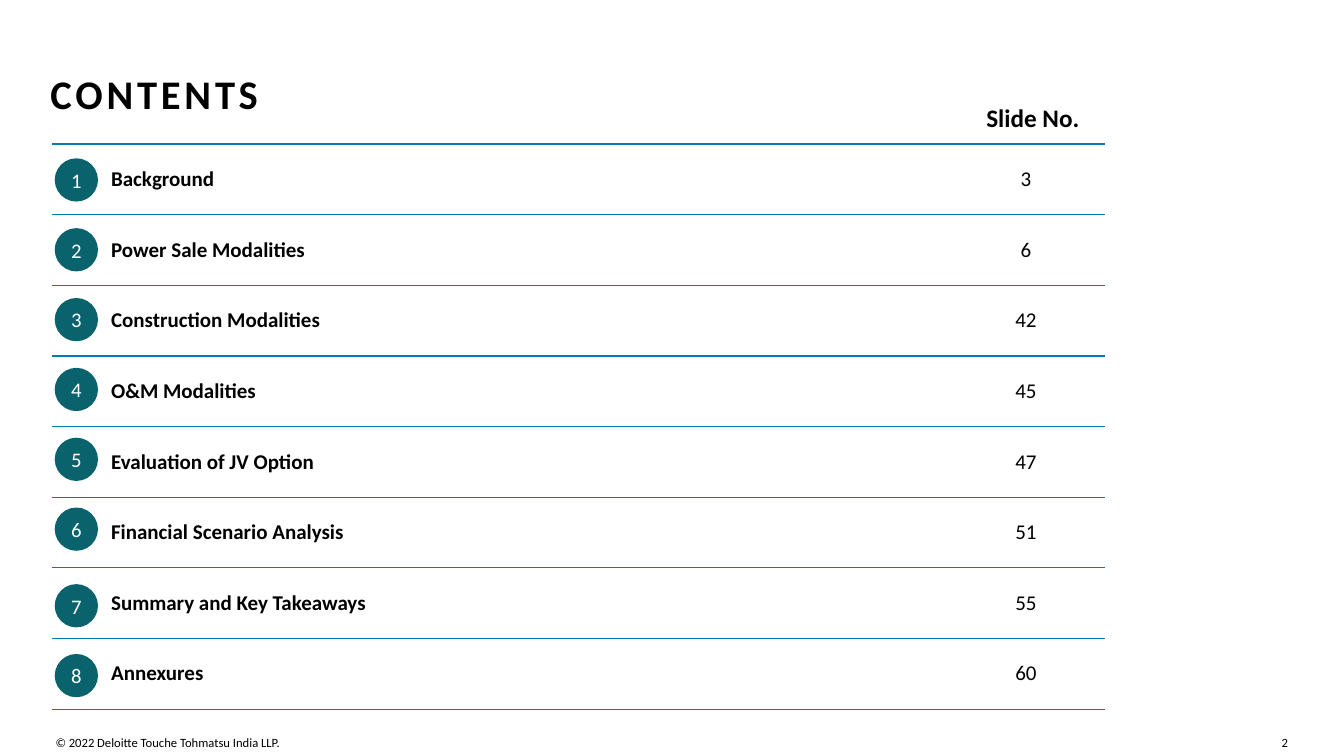
"""Build the contents slide with numbered topics and their slide numbers."""
import pptx
import pptx.util
import pptx.dml.color
import pptx.enum.shapes
import pptx.enum.text
import pptx.oxml
import pptx.oxml.ns

Cm, Pt = pptx.util.Cm, pptx.util.Pt
ALIGN, ANCHOR = pptx.enum.text.PP_ALIGN, pptx.enum.text.MSO_ANCHOR

TOPICS = [
    ("Background", "3"),
    ("Power Sale Modalities", "6"),
    ("Construction Modalities", "42"),
    ("O&M Modalities", "45"),
    ("Evaluation of JV Option", "47"),
    ("Financial Scenario Analysis", "51"),
    ("Summary and Key Takeaways", "55"),
    ("Annexures", "60"),
]
TITLE = "CONTENTS"
HEAD = "Slide No."
FOOT = "© 2022 Deloitte Touche Tohmatsu India LLP."
PAGE = "2"
BLACK, WHITE, TEAL, BLUE = "000000", "FFFFFF", "0A626C", "007CB0"
COLS = (1.3, 21.26, 3.99)
LEFT, TOP, ROW = 1.3, 3.63, 1.78
DOT, STEP = 1.09, 1.76
DOT_TOP, SHIFT = 3.99, 0.17


def color(code):
    return pptx.dml.color.RGBColor.from_string(code)


def write(frame, text, size, code=BLACK, bold=False, align=ALIGN.LEFT):
    frame.text = text
    para = frame.paragraphs[0]
    para.alignment = align
    font = para.runs[0].font
    font.name, font.size, font.bold = "Calibri", Pt(size), bold
    font.color.rgb = color(code)


def inset(frame, side, end):
    frame.margin_left = frame.margin_right = Cm(side)
    frame.margin_top = frame.margin_bottom = Cm(end)


def label(slide, box, text, size, bold=False, align=ALIGN.LEFT, pad=(0, 0)):
    frame = slide.shapes.add_textbox(*map(Cm, box)).text_frame
    frame.word_wrap = True
    inset(frame, *pad)
    write(frame, text, size, bold=bold, align=align)


def rule(cell):
    cell.fill.background()
    props = cell._tc.get_or_add_tcPr()
    space = pptx.oxml.ns.nsdecls("a")
    line = f'<a:solidFill><a:srgbClr val="{BLUE}"/></a:solidFill>'
    fills = {"lnL": "<a:noFill/>", "lnR": "<a:noFill/>", "lnT": line, "lnB": line}
    for spot, (tag, fill) in enumerate(fills.items()):
        xml = f'<a:{tag} {space} w="12700">{fill}</a:{tag}>'
        props.insert(spot, pptx.oxml.parse_xml(xml))


def add_title(slide):
    title = slide.shapes.title
    title.left, title.top, title.width, title.height = map(Cm, (1.27, 1.73, 15.37, 1.24))
    frame = title.text_frame
    inset(frame, 0, 0)
    frame.vertical_anchor = ANCHOR.TOP
    write(frame, TITLE, 29, bold=True)
    frame.paragraphs[0].runs[0].font._element.set("spc", "270")


def add_topics(slide):
    count = len(TOPICS)
    box = map(Cm, (LEFT, TOP, sum(COLS), ROW * count))
    table = slide.shapes.add_table(count, len(COLS), *box).table
    table.first_row = table.horz_banding = False
    for col, width in zip(table.columns, COLS):
        col.width = Cm(width)
    for row, (topic, page) in zip(table.rows, TOPICS):
        row.height = Cm(ROW)
        for cell in row.cells:
            rule(cell)
            inset(cell, 0.2, 0.1)
            cell.vertical_anchor = ANCHOR.MIDDLE
        write(row.cells[1].text_frame, topic, 15, bold=True)
        write(row.cells[2].text_frame, page, 15, align=ALIGN.CENTER)


def add_dots(slide):
    oval = pptx.enum.shapes.MSO_SHAPE.OVAL
    for spot in range(len(TOPICS)):
        top = DOT_TOP + STEP * spot + (SHIFT if spot > 5 else 0)
        dot = slide.shapes.add_shape(oval, *map(Cm, (1.38, top, DOT, DOT)))
        dot.shadow.inherit = False
        dot.fill.solid()
        dot.fill.fore_color.rgb = color(TEAL)
        dot.line.fill.background()
        frame = dot.text_frame
        frame.vertical_anchor = ANCHOR.MIDDLE
        write(frame, str(spot + 1), 14.8, WHITE, align=ALIGN.CENTER)


def main():
    deck = pptx.Presentation()
    deck.slide_width, deck.slide_height = Cm(33.87), Cm(19.05)
    slide = deck.slides.add_slide(deck.slide_layouts[5])
    add_title(slide)
    add_topics(slide)
    add_dots(slide)
    label(slide, (23.39, 2.46, 5.28, 1.02), HEAD, 18, True, ALIGN.CENTER, (0.25, 0.13))
    label(slide, (1.4, 18.52, 14.88, 0.38), FOOT, 9)
    label(slide, (32.13, 18.52, 0.5, 0.38), PAGE, 9, align=ALIGN.CENTER)
    deck.save("out.pptx")


if __name__ == "__main__":
    main()
